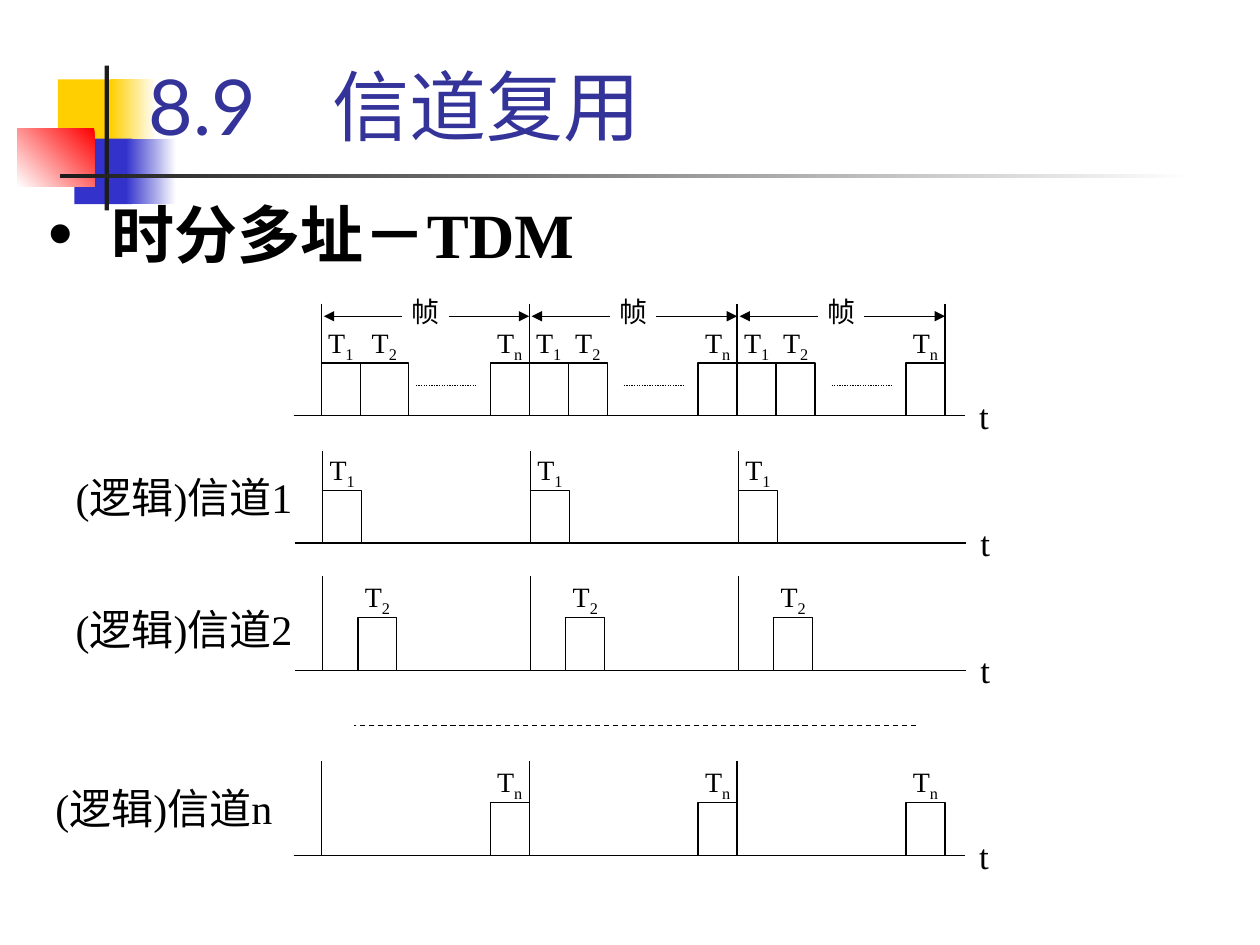
from dataclasses import dataclass
from lxml.etree import SubElement as Sub
from pptx import Presentation
from pptx.dml.color import RGBColor as Rgb
from pptx.enum.dml import MSO_LINE as Dash
from pptx.enum.shapes import MSO_CONNECTOR as Conn, MSO_SHAPE as Kind
from pptx.enum.text import MSO_ANCHOR as Anchor, MSO_AUTO_SIZE as Auto, PP_ALIGN as Align
from pptx.oxml.ns import qn
from pptx.util import Inches, Pt


@dataclass(frozen=True)
class Theme:
    """Colours, fonts and type sizes of the slide."""
    ink: str = "000000"
    dark: str = "1C1C1C"
    white: str = "FFFFFF"
    gold: str = "FFCF01"
    blue: str = "3333CC"
    red: str = "FF0000"
    navy: str = "333399"
    serif: str = "Times New Roman"
    sans: str = "Lato"
    hans: str = "Noto Sans CJK SC"
    head: int = 44
    lead: int = 36
    name: int = 24
    axis: int = 20
    slot: int = 16
    line: float = 0.75


@dataclass(frozen=True)
class Box:
    """A region measured in grid columns and rows."""
    x: float
    y: float
    w: float
    h: float

    def inner(self, x, y, w, h):
        """Return a box placed from this one's corner."""
        return Box(self.x + x, self.y + y, w, h)

    def place(self):
        """Return left, top, width and height as lengths."""
        return [unit(v) for v in (self.x, self.y, self.w, self.h)]


THEME = Theme()
COLS, ROWS = 100, 75
FRAME, FRAMES = 16.5, 3
SLOT, TALL = 3.1, 4.2


def unit(n):
    """Turn grid cells into a length."""
    return Inches(n * 10 / COLS)


def style(para, size, face=THEME.serif, tint=THEME.ink, bold=False):
    """Set the font of a paragraph."""
    font = para.font
    font.size, font.name, font.bold = Pt(size), face, bold
    font.color.rgb = Rgb.from_string(tint)


def hang(para, left, first):
    """Set a hanging indent in grid cells and return the properties."""
    props = para._p.get_or_add_pPr()
    props.set("marL", str(unit(left)))
    props.set("indent", str(unit(first)))
    return props


def write(pen, box, text, size, align=Align.LEFT, pad=(0, 0), sub=""):
    """Add a text box with an optional subscript and return its paragraph."""
    frame = pen.add_textbox(*box.place()).text_frame
    frame.word_wrap = True
    frame.margin_left = frame.margin_right = unit(pad[0])
    frame.margin_top = frame.margin_bottom = unit(pad[1])
    para = frame.paragraphs[0]
    para.alignment = align
    para.add_run().text = text
    if sub:
        run = para.add_run()
        run.text = sub
        run._r.get_or_add_rPr().set("baseline", "-25000")
    style(para, size)
    return para


def rule(pen, start, end, dash=None, arrow=False):
    """Draw a thin line between two grid points."""
    link = pen.add_connector(Conn.STRAIGHT, *[unit(v) for v in (*start, *end)])
    link.line.color.rgb = Rgb.from_string(THEME.ink)
    link.line.width = Pt(THEME.line)
    if dash:
        link.line.dash_style = dash
    if arrow:
        Sub(link.line._get_or_add_ln(), qn("a:tailEnd"), type="triangle")
    Sub(link._element.spPr, qn("a:effectLst"))


def block(pen, box, tints=(), angle=180):
    """Draw a plain, graded or outlined rectangle by number of tints."""
    form = pen.add_shape(Kind.RECTANGLE, *box.place())
    form.shadow.inherit = False
    if not tints:
        form.fill.background()
        form.line.color.rgb = Rgb.from_string(THEME.ink)
        form.line.width = Pt(THEME.line)
        return
    form.line.fill.background()
    if len(tints) == 1:
        form.fill.solid()
        form.fill.fore_color.rgb = Rgb.from_string(tints[0])
        return
    form.fill.gradient()
    form.fill.gradient_angle = angle
    for stop, tint in zip(form.fill.gradient_stops, tints):
        stop.color.rgb = Rgb.from_string(tint)


def badge(pen, box):
    """Draw the coloured squares and bars beside the title."""
    t = THEME
    tiles = [
        ((3.2, 1.1, 4.8, 5.2), [t.gold], 180),
        ((7.4, 1.1, 3.6, 5.2), [t.white, t.gold], 180),
        ((4.5, 5.8, 4.6, 5.2), [t.blue], 180),
        ((8.6, 5.8, 4, 5.2), [t.white, t.blue], 180),
        ((0, 5, 6.1, 4.6), [t.red, t.white], 225),
        ((6.9, 0, 0.35, box.h), [t.dark], 180),
        ((3.4, 8.6, box.w - 3.4, 0.3), [t.white, t.dark], 180),
    ]
    for spot, tints, angle in tiles:
        block(pen, box.inner(*spot), tints, angle)


def title(slide, box):
    """Place and format the title."""
    head = slide.shapes.title
    head.left, head.top, head.width, head.height = box.place()
    frame = head.text_frame
    frame.auto_size, frame.vertical_anchor = Auto.NONE, Anchor.BOTTOM
    para = frame.paragraphs[0]
    para.alignment = Align.LEFT
    stops = Sub(para._p.get_or_add_pPr(), qn("a:tabLst"))
    Sub(stops, qn("a:tab"), pos=str(unit(14.6)), algn="l")
    for text in ("8.9\t", "信道复用"):
        run = para.add_run()
        run.text = text
    run.font.name = THEME.hans
    style(para, THEME.head, THEME.sans, THEME.navy)


def lead(pen, box):
    """Write the bulleted topic line."""
    para = write(pen, box, "时分多址－TDM", THEME.lead, pad=(1, 0.5))
    props = hang(para, 7.9, -5)
    font = props.find(qn("a:defRPr"))
    for tag, key, value in (("buSzPct", "val", "111000"),
                            ("buFont", "typeface", "Arial"),
                            ("buChar", "char", "•")):
        font.addprevious(Sub(props, qn("a:" + tag), {key: value}))
    style(para, THEME.lead, bold=True)


def slot(pen, box, sub):
    """Draw one time slot with its label above."""
    block(pen, box)
    write(pen, box.inner(0.3, -3, box.w - 0.6, 2.9), "T", THEME.slot, Align.CENTER, sub=sub)


def span(pen, box):
    """Mark one frame with arrows, its name and dots."""
    y = box.y + 1
    for start, end in ((10.1, FRAME), (6.4, 0.2)):
        rule(pen, (box.x + start, y), (box.x + end, y), arrow=True)
    write(pen, box.inner(6.8, -0.7, 3, 3.2), "帧", THEME.slot, Align.CENTER)
    y = box.y + 6.5
    rule(pen, (box.x + 7.5, y), (box.x + 12.4, y), Dash.ROUND_DOT)


def track(pen, box, slots, edges=FRAMES):
    """Draw a time axis with frame edges and the slots of each frame."""
    base = box.y + box.h
    rule(pen, (box.x - 2.2, base), (box.x + box.w, base))
    for k in range(edges):
        x = box.x + k * FRAME
        rule(pen, (x, box.y), (x, base))
    for k in range(FRAMES):
        for sub, left, wide in slots:
            width = wide if k == 0 else SLOT
            slot(pen, box.inner(k * FRAME + left, box.h - TALL, width, TALL), sub)
    write(pen, box.inner(box.w, box.h - 1.7, 3, 3.2), "t", THEME.axis, Align.CENTER)


def whole(slide, box):
    """Draw the shared line with all slots and frame marks."""
    pen = slide.shapes.add_group_shape().shapes
    slots = [("1", 0, SLOT), ("2", SLOT, 3.8), ("n", FRAME - SLOT, SLOT)]
    track(pen, box, slots, FRAMES + 1)
    for k in range(FRAMES):
        span(pen, box.inner(k * FRAME, 0, FRAME, box.h))


def lane(slide, box, sub, left, name):
    """Draw one logical channel with its caption."""
    pen = slide.shapes.add_group_shape().shapes
    track(pen, box, [(sub, left, SLOT)])
    para = write(pen, name, f"(逻辑)信道{sub}", THEME.name, pad=(0.2, 0.1))
    hang(para, 3.8, -3.8)


def main():
    """Build and save the slide."""
    deck = Presentation()
    deck.slide_width, deck.slide_height = unit(COLS), unit(ROWS)
    slide = deck.slides.add_slide(deck.slide_layouts[5])
    pen = slide.shapes
    badge(pen, Box(1.4, 5.2, 93.4, 11.5))
    title(slide, Box(10.8, 3.3, 85.2, 9.2))
    lead(pen, Box(0, 15, 95.8, 8))
    whole(slide, Box(25.5, 24.1, 51.1, 8.9))
    lanes = [("1", 0, 25.6, 35.8, 7.3, 5.8, 37.3),
             ("2", 2.8, 25.6, 45.7, 7.5, 5.8, 47.8),
             ("n", FRAME - SLOT, 25.5, 60.4, 7.5, 4.2, 62)]
    for sub, left, x, y, h, nx, ny in lanes:
        lane(slide, Box(x, y, 51.1, h), sub, left, Box(nx, ny, 18.3, 8.2))
    rule(pen, (72.7, 57.6), (28.1, 57.6), Dash.DASH)
    pen._spTree.append(pen.title._element)
    deck.save("out.pptx")


if __name__ == "__main__":
    main()
